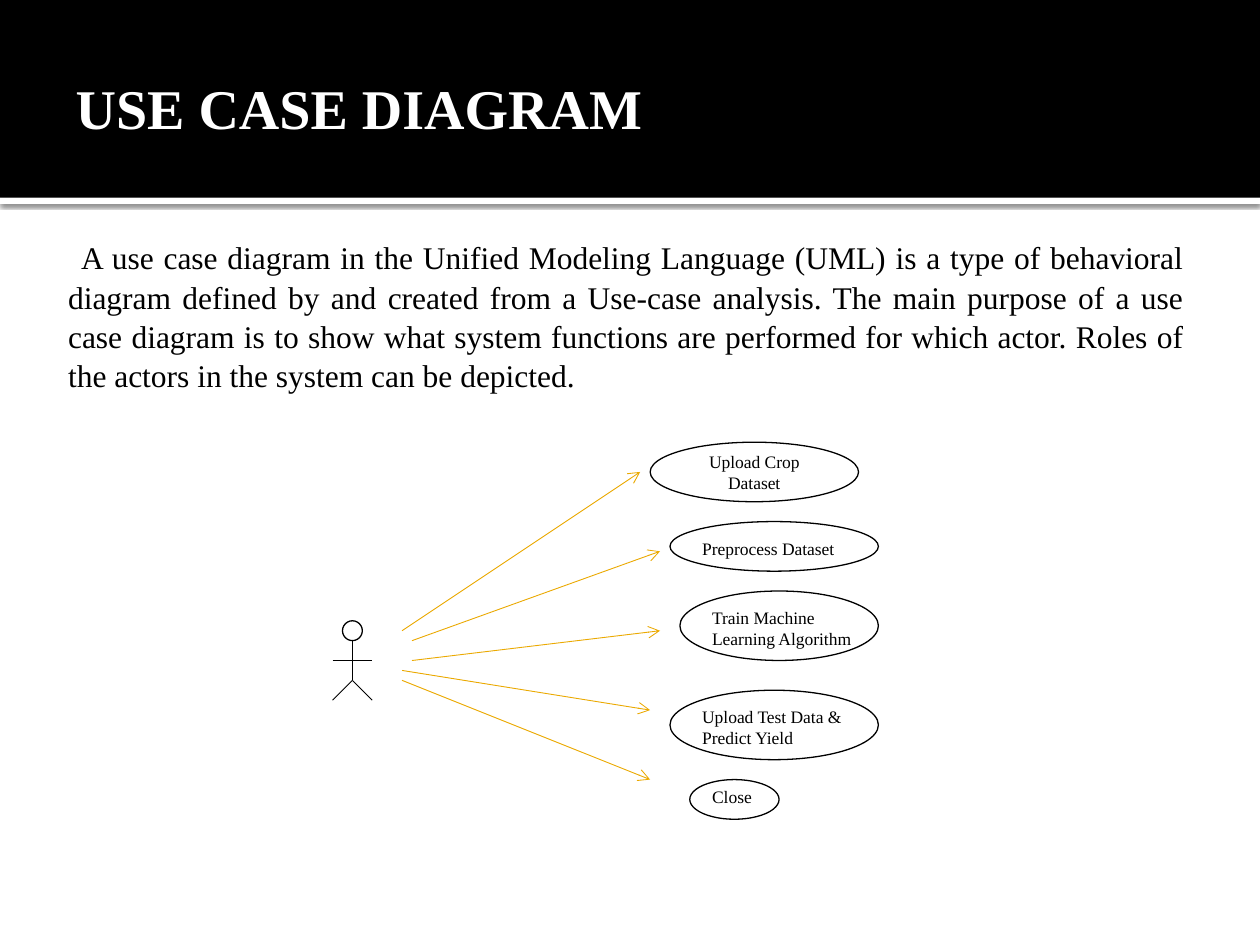
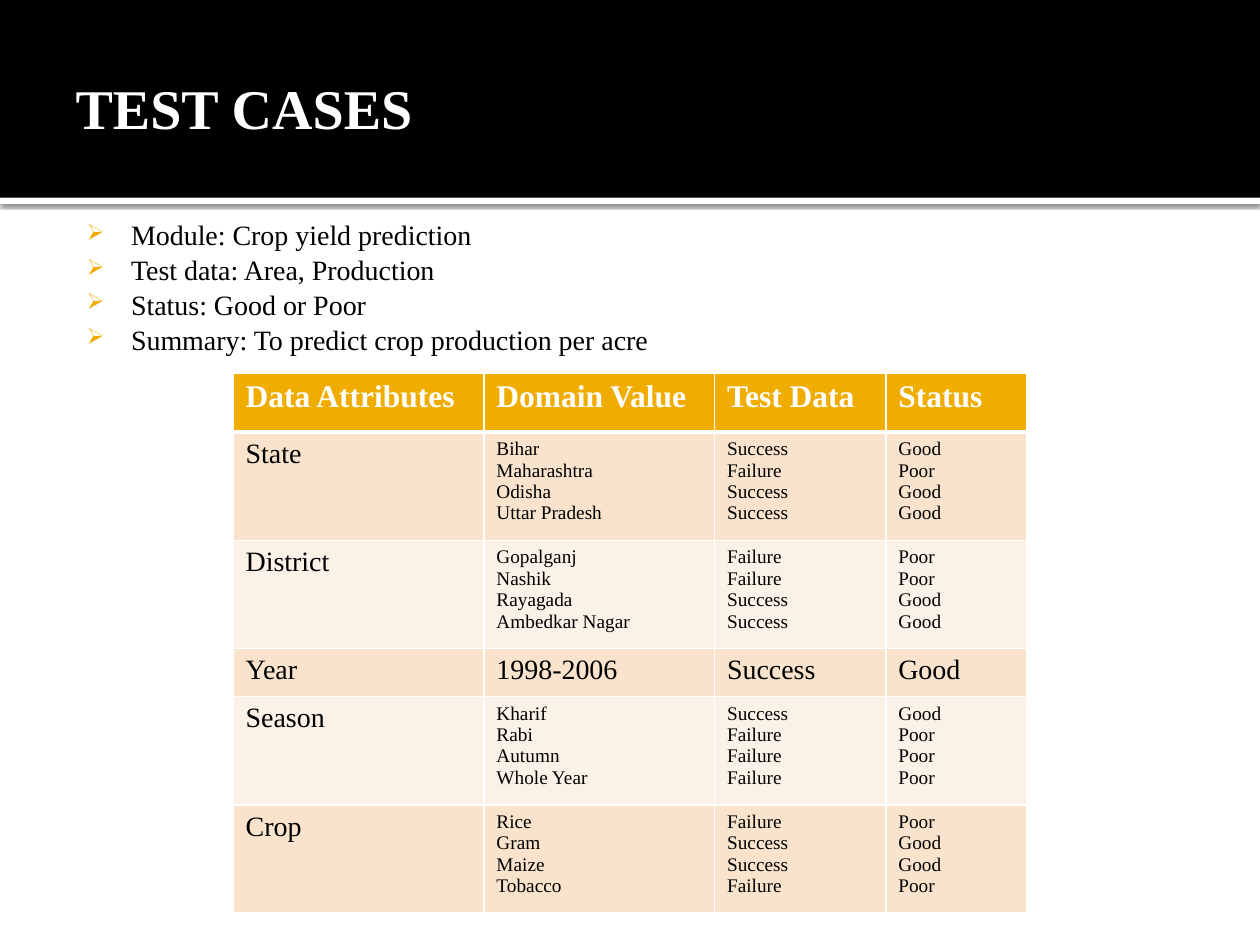
from lxml import etree
from pptx import Presentation
from pptx.dml.color import RGBColor
from pptx.enum.shapes import MSO_CONNECTOR, MSO_SHAPE
from pptx.enum.text import MSO_ANCHOR, PP_ALIGN
from pptx.oxml.ns import qn
from pptx.util import Pt

RECTANGLE, ELLIPSE, CIRCLE = MSO_SHAPE.RECTANGLE, MSO_SHAPE.OVAL, MSO_SHAPE.FLOWCHART_CONNECTOR
STRAIGHT = MSO_CONNECTOR.STRAIGHT
MIDDLE, TOP = MSO_ANCHOR.MIDDLE, MSO_ANCHOR.TOP
LEFT, CENTER, JUSTIFY = PP_ALIGN.LEFT, PP_ALIGN.CENTER, PP_ALIGN.JUSTIFY

FONT = "Times New Roman"
BLACK, WHITE, GOLD, ARROW_GOLD = "000000", "FFFFFF", "F0AD00", "EBA900"
ROW_TINTS = ["F9E3CC", "FCF1E7"]
GRID, GRID_LEFT, GRID_TOP = 5.67, 371.5, 252.7


def rgb(value):
    return RGBColor.from_string(value)


def add_xml(parent, tag, **attributes):
    return etree.SubElement(parent, qn(tag), attributes)


def grid_point(column, row):
    return GRID_LEFT + column * GRID, GRID_TOP + row * GRID


class Deck:
    def __init__(self):
        self.presentation = Presentation()
        self.presentation.slide_width = Pt(720)
        self.presentation.slide_height = Pt(540)
        self.slide = None

    def new_slide(self, heading):
        self.slide = self.presentation.slides.add_slide(self.presentation.slide_layouts[5])
        title = self.slide.shapes.title
        title.left, title.top, title.width, title.height = Pt(36), Pt(12.2), Pt(648), Pt(98.6)
        frame = title.text_frame
        frame.text = heading
        frame.vertical_anchor = MIDDLE
        self.set_margins(frame, 7.2, 3.6, 3.6, 3.6)
        self.format_text(frame, 32, WHITE, bold=True)
        rule = self.shape(RECTANGLE, 0, 113, 720, 3.6, WHITE)
        effects = rule.element.spPr.find(qn("a:effectLst"))
        shadow = add_xml(effects, "a:outerShdw", blurRad=str(Pt(2.5)), dist=str(Pt(0.8)),
                         dir="5400000", algn="tl", rotWithShape="0")
        add_xml(add_xml(shadow, "a:srgbClr", val=BLACK), "a:alpha", val="60000")
        band = self.shape(RECTANGLE, 0, 0, 720, 113, BLACK)
        for part in (rule, band):
            title.element.addprevious(part.element)

    def set_margins(self, frame, left, top, right, bottom):
        frame.margin_left, frame.margin_top = Pt(left), Pt(top)
        frame.margin_right, frame.margin_bottom = Pt(right), Pt(bottom)

    def format_text(self, frame, size, color=BLACK, bold=False, align=LEFT):
        for paragraph in frame.paragraphs:
            paragraph.alignment = align
            for run in paragraph.runs:
                font = run.font
                font.name, font.size, font.bold = FONT, Pt(size), bold
                font.color.rgb = rgb(color)

    def shape(self, preset, left, top, width, height, fill, line=None):
        shape = self.slide.shapes.add_shape(preset, Pt(left), Pt(top), Pt(width), Pt(height))
        shape.shadow.inherit = False
        shape.fill.solid()
        shape.fill.fore_color.rgb = rgb(fill)
        if line:
            shape.line.color.rgb = rgb(line)
            shape.line.width = Pt(0.75)
        else:
            shape.line.fill.background()
        return shape

    def text(self, content, left, top, width, height, size, align=LEFT):
        box = self.slide.shapes.add_textbox(Pt(left), Pt(top), Pt(width), Pt(height))
        frame = box.text_frame
        frame.word_wrap = True
        frame.text = content
        self.format_text(frame, size, align=align)
        return frame

    def body(self, content, left, top, width, height, size, align, margin, indent, bullet=None):
        frame = self.text(content, left, top, width, height, size, align)
        self.set_margins(frame, 4.3, 7.2, 7.2, 3.6)
        for paragraph in frame.paragraphs:
            paragraph.line_spacing = 1.04
            properties = paragraph._p.get_or_add_pPr()
            properties.set("marL", str(Pt(margin)))
            properties.set("indent", str(Pt(indent)))
            if bullet:
                add_xml(add_xml(properties, "a:buClr"), "a:srgbClr", val=GOLD)
                add_xml(properties, "a:buSzPct", val="80000")
                add_xml(properties, "a:buChar", char=bullet)

    def line(self, start, end, color, arrow=False):
        ends = [Pt(value) for value in (*grid_point(*start), *grid_point(*end))]
        connector = self.slide.shapes.add_connector(STRAIGHT, *ends)
        connector.line.color.rgb = rgb(color)
        connector.line.width = Pt(0.5)
        if arrow:
            add_xml(connector.line._get_or_add_ln(), "a:tailEnd", type="arrow")
        add_xml(connector.element.spPr, "a:effectLst")

    def cell_borders(self, cell, bottom):
        properties = cell._tc.get_or_add_tcPr()
        widths = {"a:lnL": 1, "a:lnR": 1, "a:lnT": 1, "a:lnB": bottom}
        for position, (side, width) in enumerate(widths.items()):
            border = etree.Element(qn(side), w=str(Pt(width)))
            add_xml(add_xml(border, "a:solidFill"), "a:srgbClr", val=WHITE)
            properties.insert(position, border)

    def table(self, rows, left, top, widths, heights):
        table = self.slide.shapes.add_table(len(rows), len(widths), Pt(left), Pt(top),
                                            Pt(sum(widths)), Pt(sum(heights))).table
        for column, width in zip(table.columns, widths):
            column.width = Pt(width)
        for index, (row, values, height) in enumerate(zip(table.rows, rows, heights)):
            row.height = Pt(height)
            header = index == 0
            for cell, value in zip(row.cells, values):
                cell.text_frame.text = value
                cell.vertical_anchor = TOP
                cell.fill.solid()
                cell.fill.fore_color.rgb = rgb(GOLD if header else ROW_TINTS[(index - 1) % 2])
                self.cell_borders(cell, 3 if header else 1)
                if header:
                    self.format_text(cell.text_frame, 18, WHITE, bold=True)
                else:
                    self.format_text(cell.text_frame, 11 if "\n" in value else 16)


def build_use_cases(deck):
    deck.new_slide("USE CASE DIAGRAM")
    deck.body("A use case diagram in the Unified Modeling Language (UML) is a type of behavioral "
              "diagram defined by and created from a Use-case analysis. The main purpose of a use "
              "case diagram is to show what system functions are performed for which actor. Roles "
              "of the actors in the system can be depicted.",
              0, 128.2, 684, 375.8, 18, JUSTIFY, 34.6, 7.4)

    use_case_ovals = [(0, 0, 21, 6), (2, 8, 21, 5), (3, 15, 20, 7), (2, 25, 21, 7), (4, 34, 9, 4)]
    for column, row, width, height in use_case_ovals:
        deck.shape(ELLIPSE, *grid_point(column, row), width * GRID, height * GRID, WHITE, BLACK)

    deck.shape(CIRCLE, *grid_point(-31, 18), 2 * GRID, 2 * GRID, WHITE, BLACK)
    hip = (-30, 24)
    actor_limbs = [(hip, (-30, 20)), ((-32, 22), (-28, 22)), (hip, (-32, 26)), (hip, (-28, 26))]
    for start, end in actor_limbs:
        deck.line(start, end, BLACK)

    associations = [((-25, 19), (-1, 3)), ((-24, 20), (1, 11)), ((-24, 22), (1, 19)),
                    ((-25, 23), (0, 27)), ((-25, 24), (0, 34))]
    for start, end in associations:
        deck.line(start, end, ARROW_GOLD, arrow=True)

    use_case_labels = [("Upload Crop Dataset", 4, 0.25, 13, 31.7, CENTER),
                       ("Preprocess Dataset", 4, 9, 16, 19.4, LEFT),
                       ("Train Machine Learning Algorithm", 5, 16, 18, 31.7, LEFT),
                       ("Upload Test Data & Predict Yield", 4, 26, 18, 31.7, LEFT),
                       ("Close", 5, 34, 7, 19.4, LEFT)]
    for label, column, row, width, height, align in use_case_labels:
        deck.text(label, *grid_point(column, row), width * GRID, height, 10, align)


def build_test_cases(deck):
    deck.new_slide("TEST CASES")
    deck.body("Module: Crop yield prediction\nTest data: Area, Production\n"
              "Status: Good or Poor\nSummary: To predict crop production per acre",
              36, 116.6, 648, 414, 16, LEFT, 34.6, -25.2, bullet="➢")
    test_rows = [
        ("Data Attributes", "Domain Value", "Test Data", "Status"),
        ("State", "Bihar\nMaharashtra\nOdisha\nUttar Pradesh",
         "Success\nFailure\nSuccess\nSuccess", "Good\nPoor\nGood\nGood"),
        ("District", "Gopalganj\nNashik\nRayagada\nAmbedkar Nagar",
         "Failure\nFailure\nSuccess\nSuccess", "Poor\nPoor\nGood\nGood"),
        ("Year", "1998-2006", "Success", "Good"),
        ("Season", "Kharif\nRabi\nAutumn\nWhole Year",
         "Success\nFailure\nFailure\nFailure", "Good\nPoor\nPoor\nPoor"),
        ("Crop", "Rice\nGram\nMaize\nTobacco",
         "Failure\nSuccess\nSuccess\nFailure", "Poor\nGood\nGood\nPoor"),
    ]
    deck.table(test_rows, 133.2, 213.1, [143.3, 131.8, 97.9, 80.6],
               [33.8, 61.9, 61.9, 27.4, 61.9, 61.9])


def main():
    deck = Deck()
    build_use_cases(deck)
    build_test_cases(deck)
    deck.presentation.save("out.pptx")


if __name__ == "__main__":
    main()
